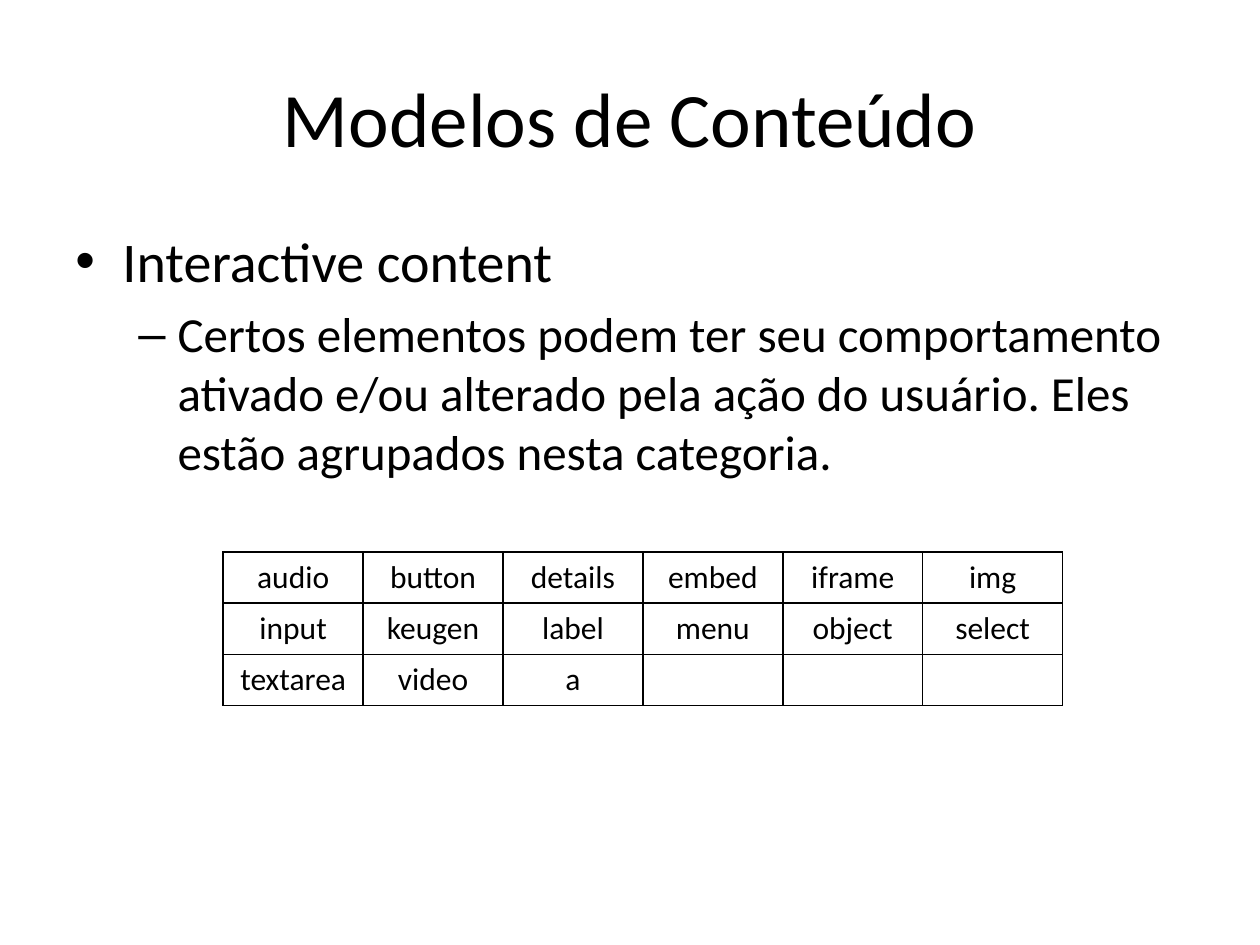
from lxml.etree import SubElement
from pptx import Presentation
from pptx.dml.color import RGBColor
from pptx.enum.text import MSO_ANCHOR as Anchor, PP_ALIGN as Align
from pptx.oxml.ns import qn
from pptx.util import Cm, Pt

FONT = "Calibri"
BLACK = "000000"
TITLE = "Modelos de Conteúdo"
BODY = [
    dict(text="Interactive content", size=32, bullet="•", margin=0.95, hanging=0.95),
    dict(text="Certos elementos podem ter seu comportamento ativado e/ou alterado "
              "pela ação do usuário. Eles estão agrupados nesta categoria.",
         size=28, bullet="–", margin=2.06, hanging=0.79, level=1, before=5.6),
]
ELEMENTS = [
    ["audio", "button", "details", "embed", "iframe", "img"],
    ["input", "keugen", "label", "menu", "object", "select"],
    ["textarea", "video", "a", "", "", ""],
]
TABLE_LEFT, TABLE_TOP = 4.5, 11.13
COLUMN_WIDTH, ROW_HEIGHT = 2.82, 1.03


def color(value):
    return RGBColor.from_string(value)


def write(paragraph, text, size, align=Align.LEFT, bullet=None, margin=0,
          hanging=0, level=0, before=0):
    paragraph.alignment = align
    paragraph.level = level
    paragraph.space_before = Pt(before)
    if bullet:
        properties = paragraph._p.get_or_add_pPr()
        properties.set("marL", str(Cm(margin)))
        properties.set("indent", str(-Cm(hanging)))
        SubElement(properties, qn("a:buFont"), typeface="Arial")
        SubElement(properties, qn("a:buChar"), char=bullet)
    paragraph.font.size = Pt(size)
    run = paragraph.add_run()
    run.text = text
    run.font.name = FONT
    run.font.size = Pt(size)
    run.font.color.rgb = color(BLACK)


def add_text_frame(slide, left, top, width, height, anchor=Anchor.TOP):
    box = slide.shapes.add_textbox(Cm(left), Cm(top), Cm(width), Cm(height))
    frame = box.text_frame
    frame.word_wrap = True
    frame.vertical_anchor = anchor
    return frame


def add_borders(cell):
    properties = cell._tc.get_or_add_tcPr()
    for side in ("lnL", "lnR", "lnT", "lnB"):
        line = SubElement(properties, qn(f"a:{side}"), w=str(Pt(1)))
        fill = SubElement(line, qn("a:solidFill"))
        SubElement(fill, qn("a:srgbClr"), val=BLACK)


def add_element_table(slide):
    rows, columns = len(ELEMENTS), len(ELEMENTS[0])
    table = slide.shapes.add_table(
        rows, columns, Cm(TABLE_LEFT), Cm(TABLE_TOP),
        Cm(columns * COLUMN_WIDTH), Cm(rows * ROW_HEIGHT)).table
    table.first_row = False
    table.horz_banding = False
    for column in table.columns:
        column.width = Cm(COLUMN_WIDTH)
    for row, names in zip(table.rows, ELEMENTS):
        row.height = Cm(ROW_HEIGHT)
        for cell, name in zip(row.cells, names):
            add_borders(cell)
            cell.fill.background()
            paragraph = cell.text_frame.paragraphs[0]
            if name:
                write(paragraph, name, size=18, align=Align.CENTER)


def main():
    presentation = Presentation()
    presentation.slide_width = Cm(25.4)
    presentation.slide_height = Cm(19.05)
    slide = presentation.slides.add_slide(presentation.slide_layouts[6])

    title = add_text_frame(slide, 1.27, 0.76, 22.86, 3.18, anchor=Anchor.MIDDLE)
    write(title.paragraphs[0], TITLE, size=44, align=Align.CENTER)

    body = add_text_frame(slide, 1.27, 4.45, 22.86, 12.57)
    for index, item in enumerate(BODY):
        paragraph = body.add_paragraph() if index else body.paragraphs[0]
        write(paragraph, **item)

    add_element_table(slide)
    presentation.save("out.pptx")


if __name__ == "__main__":
    main()
